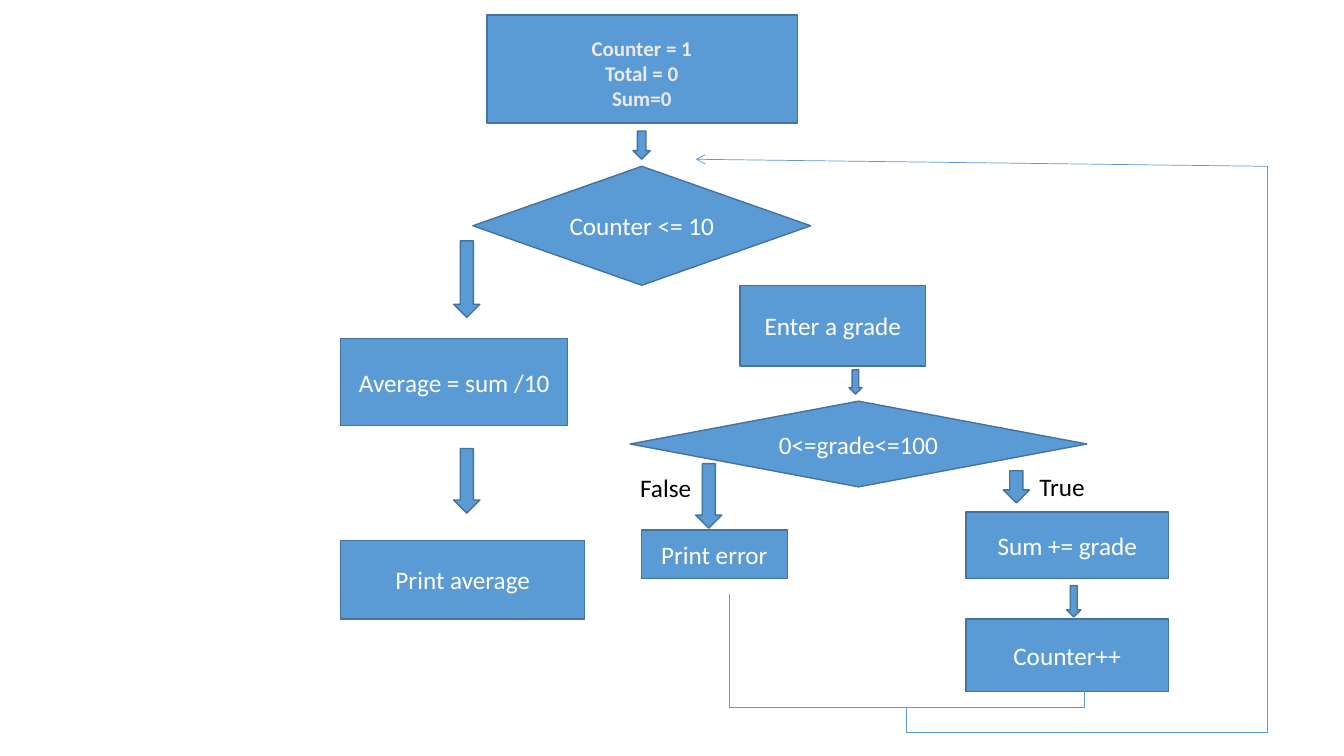
from dataclasses import dataclass
from itertools import pairwise

from lxml.etree import SubElement
from pptx import Presentation
from pptx.dml.color import RGBColor
from pptx.enum.shapes import MSO_CONNECTOR as Link, MSO_SHAPE as Shape
from pptx.enum.text import MSO_ANCHOR as Anchor, MSO_AUTO_SIZE as Auto, PP_ALIGN as Align
from pptx.oxml.ns import qn
from pptx.util import Emu, Pt

PX = 9144  # 100 px to the inch
SIZE = (1333, 750)


@dataclass(frozen=True)
class Theme:
    font: str = "Calibri"
    fill: str = "5B9BD5"
    edge: str = "43739E"
    light: str = "FFFFFF"
    dark: str = "000000"
    start: str = "EBEAEA"
    rim: str = "3A5274"
    body: int = 18
    small: int = 15
    border: float = 1
    wire: float = 0.5


THEME = Theme()
STEP, TEST, RECT = Shape.FLOWCHART_PROCESS, Shape.FLOWCHART_DECISION, Shape.RECTANGLE

# kind, (left, top, width, height), text
NODES = [
    (STEP, (483, 15, 308, 107), ""),
    (TEST, (469, 165, 335, 118), "Counter <= 10"),
    (STEP, (338, 336, 225, 86), "Average = sum /10"),
    (STEP, (338, 536, 242, 78), "Print average"),
    (STEP, (734, 283, 184, 80), "Enter a grade"),
    (TEST, (625, 398, 453, 85), "0<=grade<=100"),
    (RECT, (636, 526, 145, 48), "Print error"),
    (RECT, (958, 508, 201, 66), "Sum += grade"),
    (RECT, (958, 614, 201, 72), "Counter++"),
]
ARROWS = [
    (628, 130, 17, 28), (450, 239, 26, 76), (450, 445, 26, 64),
    (1058, 581, 14, 31), (690, 460, 26, 64), (995, 467, 26, 32),
    (842, 367, 13, 24),
]
START = ((576, 30, 121, 86), ["Counter = 1", "Total = 0", "Sum=0"])
LABELS = [((1021, 463, 66, 40), ["True"]), ((625, 464, 71, 40), ["False"])]
JOINS = [
    [(723, 589), (723, 702), (1075, 702)],
    [(1075, 686), (1075, 702)],
]
LOOP = [(899, 702), (899, 727), (1257, 727), (1257, 165), (690, 158)]


def px(*nums):
    return [Emu(n * PX) for n in nums]


def rgb(code):
    return RGBColor.from_string(code)


def write(frame, lines, size=THEME.body, color=THEME.light, bold=None,
          align=Align.CENTER, rim=None):
    for i, line in enumerate(lines):
        para = frame.paragraphs[0] if i == 0 else frame.add_paragraph()
        para.alignment = align
        run = para.add_run()
        run.text = line
        font = run.font
        font.name, font.size, font.bold = THEME.font, Pt(size), bold
        font.color.rgb = rgb(color)
        if rim:
            props = run._r.get_or_add_rPr()
            edge = SubElement(props, qn("a:ln"), w=str(Pt(THEME.border)))
            SubElement(SubElement(edge, qn("a:solidFill")), qn("a:srgbClr"), val=rim)
            props.insert(0, edge)


def block(slide, kind, box, text=""):
    shape = slide.shapes.add_shape(kind, *px(*box))
    shape.shadow.inherit = False
    shape.fill.solid()
    shape.fill.fore_color.rgb = rgb(THEME.fill)
    shape.line.color.rgb = rgb(THEME.edge)
    shape.line.width = Pt(THEME.border)
    if text:
        shape.text_frame.vertical_anchor = Anchor.MIDDLE
        write(shape.text_frame, [text])


def label(slide, box, lines, **form):
    frame = slide.shapes.add_textbox(*px(*box)).text_frame
    frame.word_wrap = False
    frame.auto_size = Auto.SHAPE_TO_FIT_TEXT
    write(frame, lines, **form)


def route(slide, points):
    """Draw straight lines through the points and return the last one."""
    for a, b in pairwise(points):
        line = slide.shapes.add_connector(Link.STRAIGHT, *px(*a, *b))
        line.line.color.rgb = rgb(THEME.fill)
        line.line.width = Pt(THEME.wire)
        SubElement(line._element.spPr, qn("a:effectLst"))
    return line


def main():
    deck = Presentation()
    deck.slide_width, deck.slide_height = px(*SIZE)
    slide = deck.slides.add_slide(deck.slide_layouts[6])
    for node in NODES:
        block(slide, *node)
    label(slide, *START, size=THEME.small, color=THEME.start, bold=True, rim=THEME.rim)
    for points in JOINS:
        route(slide, points)
    last = route(slide, LOOP)
    SubElement(last._element.spPr.find(qn("a:ln")), qn("a:tailEnd"), type="arrow")
    for box in ARROWS:
        block(slide, Shape.DOWN_ARROW, box)
    for box, lines in LABELS:
        label(slide, box, lines, color=THEME.dark, align=Align.LEFT)
    deck.save("out.pptx")


if __name__ == "__main__":
    main()
